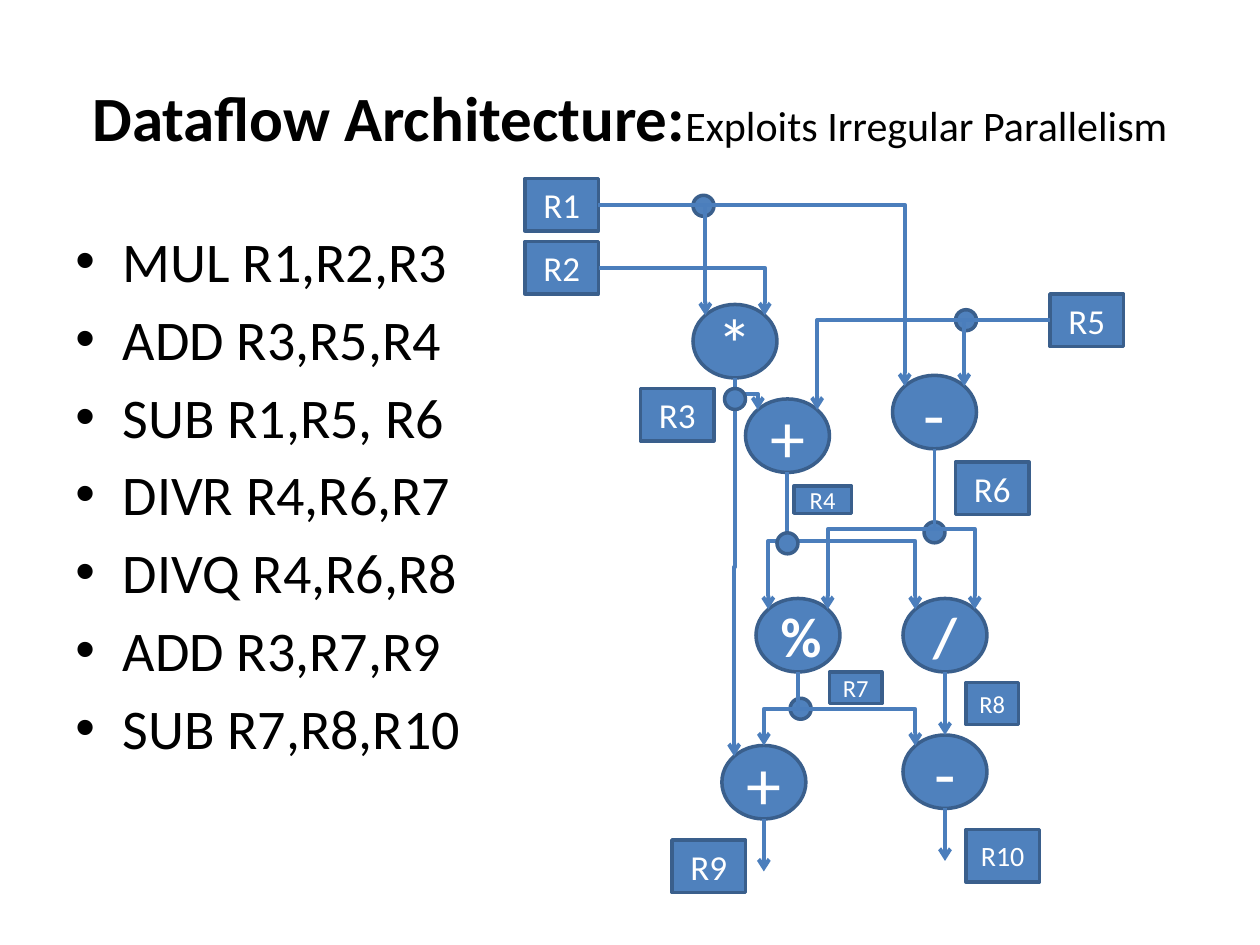
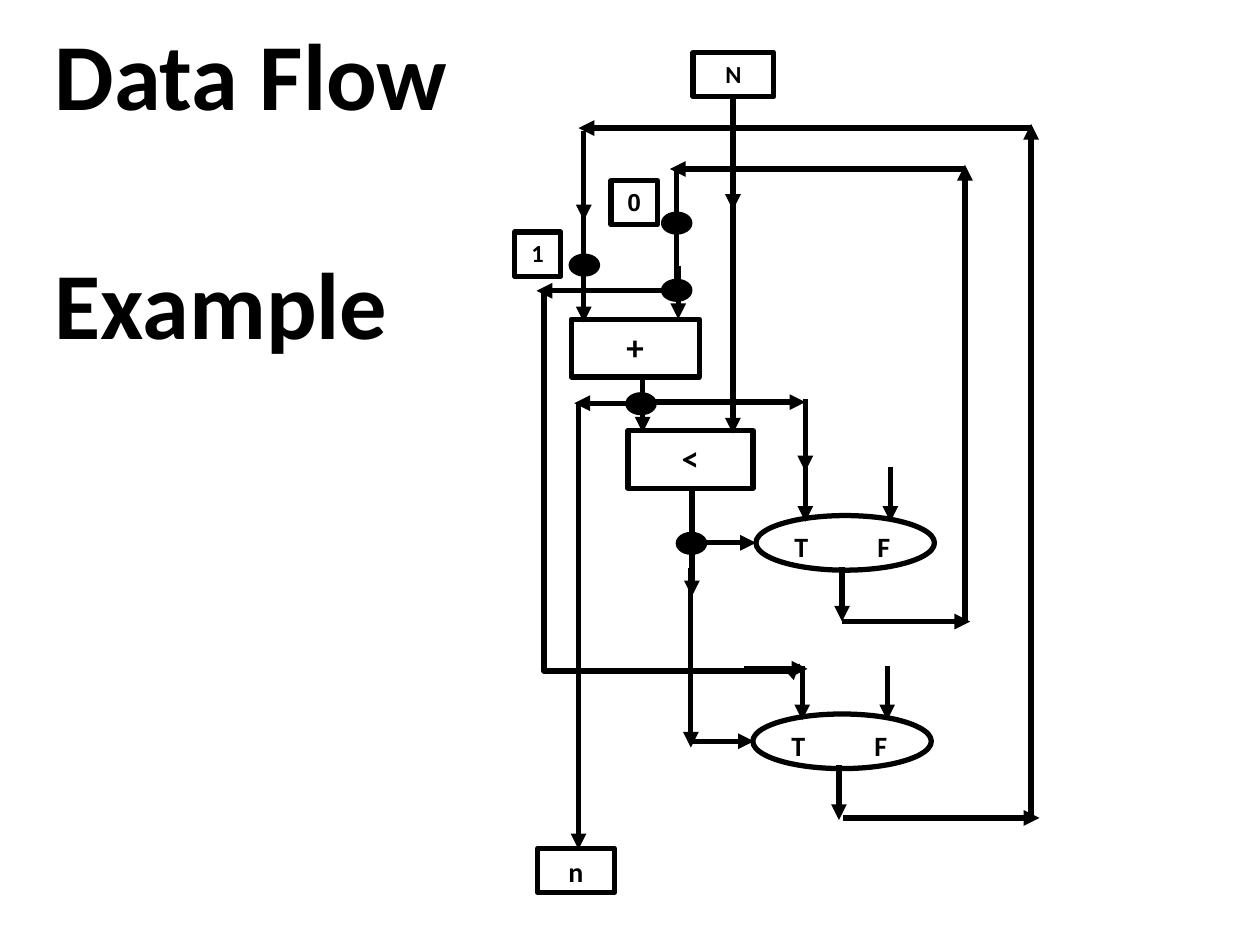
from dataclasses import dataclass

from lxml import etree
from pptx import Presentation
from pptx.dml.color import RGBColor
from pptx.enum.shapes import MSO_CONNECTOR, MSO_SHAPE
from pptx.enum.text import MSO_ANCHOR, MSO_AUTO_SIZE, PP_ALIGN
from pptx.oxml.ns import qn
from pptx.util import Inches, Pt

OVAL, RECT, PROCESS = MSO_SHAPE.OVAL, MSO_SHAPE.RECTANGLE, MSO_SHAPE.FLOWCHART_PROCESS
STRAIGHT, ELBOW = MSO_CONNECTOR.STRAIGHT, MSO_CONNECTOR.ELBOW
LEFT, CENTER = PP_ALIGN.LEFT, PP_ALIGN.CENTER
TOP, MIDDLE = MSO_ANCHOR.TOP, MSO_ANCHOR.MIDDLE


@dataclass(frozen=True)
class Style:
    fill: RGBColor
    outline: RGBColor
    outline_width: float
    text: RGBColor
    anchor: int
    wire: RGBColor
    wire_width: float
    head: str


@dataclass(frozen=True)
class Theme:
    font = "Calibri"
    black = RGBColor(0, 0, 0)
    white = RGBColor(255, 255, 255)
    blue = RGBColor(0x4F, 0x81, 0xBD)
    blue_edge = RGBColor(0x3A, 0x5F, 0x8C)
    blue_wire = RGBColor(0x4B, 0x7E, 0xBC)
    heading, big_heading, subheading = 36, 54, 24
    body, symbol, register, small, tiny = 32, 40, 20, 16, 14


theme = Theme()
BLUE = Style(theme.blue, theme.blue_edge, 2, theme.white, MIDDLE, theme.blue_wire, 2.25, "arrow")
INK = Style(theme.white, theme.black, 3, theme.black, TOP, theme.black, 3, "triangle")
DOT = Style(theme.black, theme.black, 3, theme.black, TOP, theme.black, 3, "triangle")

prs = Presentation()
prs.slide_width, prs.slide_height = Inches(10), Inches(7.5)
COLUMN, ROW = prs.slide_width / 120, prs.slide_height / 90


def add_node(slide, kind, box, style, label="", size=0, bold=False, font=theme.font, tab=0):
    x, y, w, h = box
    node = slide.shapes.add_shape(kind, int(x * COLUMN), int(y * ROW), int(w * COLUMN), int(h * ROW))
    node.shadow.inherit = False
    node.fill.solid()
    node.fill.fore_color.rgb = style.fill
    node.line.color.rgb = style.outline
    node.line.width = Pt(style.outline_width)
    if label:
        frame = node.text_frame
        frame.word_wrap = True
        frame.vertical_anchor = style.anchor
        paragraph = frame.paragraphs[0]
        paragraph.alignment = LEFT if tab else CENTER
        if tab:
            stops = etree.SubElement(paragraph._p.get_or_add_pPr(), qn("a:tabLst"))
            etree.SubElement(stops, qn("a:tab"), pos=str(int(tab * COLUMN)), algn="l")
        run = paragraph.add_run()
        run.text = label
        run.font.name, run.font.size, run.font.bold = font, Pt(size), bold
        run.font.color.rgb = style.text


def add_wire(slide, start, end, style, bend="", share=0.5):
    (x1, y1), (x2, y2) = start, end
    drop, shift = y2 - y1, x2 - x1
    turned = bend == "step" and shift != 0
    if turned:
        mid_x, mid_y = (x1 + x2) / 2, (y1 + y2) / 2
        x1, x2 = mid_x - drop / 2, mid_x + drop / 2
        y1, y2 = mid_y - abs(shift) / 2, mid_y + abs(shift) / 2
    wire = slide.shapes.add_connector(
        ELBOW if turned or bend == "corner" else STRAIGHT,
        int(x1 * COLUMN), int(y1 * ROW), int(x2 * COLUMN), int(y2 * ROW))
    wire.line.color.rgb = style.wire
    wire.line.width = Pt(style.wire_width)
    properties = wire.element.spPr
    geometry = properties.find(qn("a:prstGeom"))
    if bend == "corner":
        geometry.set("prst", "bentConnector2")
    if turned:
        frame = properties.find(qn("a:xfrm"))
        frame.set("rot", str((270 if shift > 0 else 90) * 60000))
        if shift > 0:
            frame.set("flipH", "1")
        guides = geometry.find(qn("a:avLst"))
        etree.SubElement(guides, qn("a:gd"), name="adj1", fmla=f"val {int(share * 100000)}")
    etree.SubElement(properties.find(qn("a:ln")), qn("a:tailEnd"), type=style.head)
    etree.SubElement(properties, qn("a:effectLst"))


slides = []
for box, align, lines in [
    ((6, 3.6, 108, 15), CENTER, [[("Dataflow Architecture:", theme.heading, True),
                                 ("Exploits Irregular Parallelism", theme.subheading, False)]]),
    ((4, 3.6, 40, 28.4), LEFT, [[("Data Flow", theme.big_heading, True)],
                              [("Example", theme.big_heading, True)]]),
]:
    slide = prs.slides.add_slide(prs.slide_layouts[5])
    title = slide.shapes.title
    x, y, w, h = box
    title.left, title.top = int(x * COLUMN), int(y * ROW)
    title.width, title.height = int(w * COLUMN), int(h * ROW)
    heading = title.text_frame
    heading.auto_size = MSO_AUTO_SIZE.NONE
    heading.word_wrap = True
    heading.vertical_anchor = MIDDLE
    for number, runs in enumerate(lines):
        paragraph = heading.add_paragraph() if number else heading.paragraphs[0]
        paragraph.alignment = align
        paragraph.space_before = Pt(66 * number)
        for text, size, bold in runs:
            run = paragraph.add_run()
            run.text = text
            run.font.name, run.font.size, run.font.bold = theme.font, Pt(size), bold
            run.font.color.rgb = theme.black
    slides.append(slide)
architecture, example = slides

program = ["MUL R1,R2,R3", "ADD R3,R5,R4", "SUB R1,R5, R6", "DIVR R4,R6,R7",
           "DIVQ R4,R6,R8", "ADD R3,R7,R9", "SUB R7,R8,R10"]
listing = architecture.shapes.add_textbox(
    int(6 * COLUMN), int(21 * ROW), int(44 * COLUMN), int(59.4 * ROW)).text_frame
listing.word_wrap = True
for number, instruction in enumerate(program):
    paragraph = listing.add_paragraph() if number else listing.paragraphs[0]
    paragraph.space_before = Pt(6 if number else 0)
    layout = paragraph._p.get_or_add_pPr()
    layout.set("marL", str(int(4.5 * COLUMN)))
    layout.set("indent", str(int(-4.5 * COLUMN)))
    etree.SubElement(layout, qn("a:buFont"), typeface="Arial")
    etree.SubElement(layout, qn("a:buChar"), char="•")
    run = paragraph.add_run()
    run.text = instruction
    run.font.name, run.font.size = theme.font, Pt(theme.body)
    run.font.color.rgb = theme.black

operators = {
    "mul": (66, 29, "*"), "sub": (85, 35.75, "-"), "add": (71, 38, "+"),
    "rem": (72, 57, "%"), "div": (86, 57, "/"),
    "add_last": (68.75, 71, "+"), "sub_last": (86, 70, "-"),
}
for x, y, symbol in operators.values():
    strong = symbol in "%/"
    add_node(architecture, OVAL, (x, y, 8, 7), BLUE, symbol,
             theme.body if strong else theme.symbol, strong)

for x, y in [(91, 29.5), (88, 49.7), (66, 18.6), (75.25, 66.5)]:
    add_node(architecture, OVAL, (x, y, 2, 2), BLUE)

for register, x, y, w, h, size in [
    ("R1", 50, 17, 7, 5, theme.register), ("R2", 50, 23, 7, 5, theme.register),
    ("R3", 61, 37, 7, 5, theme.register), ("R4", 75.6, 46.3, 5.5, 2.6, theme.tiny),
    ("R5", 100, 28, 7, 5, theme.register), ("R6", 91, 44, 7, 5, theme.register),
    ("R7", 79, 64, 5, 3, theme.tiny), ("R8", 92, 65, 5, 4, theme.tiny),
    ("R9", 64, 80, 7, 5, theme.register), ("R10", 92, 79, 7, 5, theme.small),
]:
    add_node(architecture, RECT, (x, y, w, h), BLUE, register, size)

ports = {"left": (1.17, 1.03), "top": (4, 0), "right": (6.83, 1.03)}
register_exits = {"R1": (57, 19.5), "R2": (57, 25.5), "R5": (100, 30.5)}
for source, target, port in [
    ("R1", "mul", "left"), ("R1", "sub", "left"), ("R2", "mul", "right"),
    ("R5", "sub", "right"), ("R5", "add", "right"),
    ("mul", "add", "left"), ("mul", "add_last", "left"),
    ("add", "rem", "left"), ("add", "div", "left"),
    ("sub", "rem", "right"), ("sub", "div", "right"),
    ("rem", "add_last", "top"), ("rem", "sub_last", "left"), ("div", "sub_last", "top"),
]:
    x, y, _ = operators[target]
    entry = x + ports[port][0], y + ports[port][1]
    if source in register_exits:
        add_wire(architecture, register_exits[source], entry, BLUE, "corner")
    else:
        x, y, _ = operators[source]
        add_wire(architecture, (x + 4, y + 7), entry, BLUE, "step")

for result in ("add_last", "sub_last"):
    x, y, _ = operators[result]
    add_wire(architecture, (x + 4, y + 7), (x + 4, y + 12), BLUE)

for x, y in [(74, 50.75), (69, 37)]:
    add_node(architecture, OVAL, (x, y, 2, 2), BLUE)

for label, x, y, w, h, size, font in [
    ("N", 66, 5, 7.7, 4.2, theme.tiny, theme.font),
    ("0", 58.2, 17.2, 4.4, 4.2, theme.tiny, "Arial"),
    ("1", 49, 22.1, 4.4, 4.2, theme.tiny, theme.font),
    ("+", 54.4, 30.4, 12.2, 5.5, theme.register, theme.font),
    ("<", 59.8, 41, 11.9, 5.5, theme.register, theme.font),
    ("n", 51.2, 80.8, 7.3, 4.2, theme.small, theme.font),
]:
    add_node(example, PROCESS, (x, y, w, h), INK, label, size, True, font)

for x, y in [(72, 49.1), (71.7, 68)]:
    add_node(example, OVAL, (x, y, 17, 5.2), INK, "T\tF", theme.small, True, tab=7.9)
    for offset in (4.7, 12.8):
        add_wire(example, (x + offset, y - 4.6), (x + offset, y + 0.6), INK)
    add_wire(example, (x + 8.2, y + 4.9), (x + 8.2, y + 10.1), INK)

for x, y in [(63.2, 20.4), (54.4, 24.4), (63.2, 26.8), (59.8, 37.6), (64.6, 50.9)]:
    add_node(example, OVAL, (x, y, 2.5, 1.7), DOT)

for x, start, end in [
    (69.8, 9.1, 20), (69.8, 14, 41.3),
    (55.6, 12.5, 21), (55.6, 20.4, 30.7),
    (64.4, 16.2, 28.8), (64.6, 25.3, 30.4),
    (61.2, 36, 41.2), (55.1, 38.3, 80.9), (76.7, 38, 44.9),
    (65.9, 46.6, 56.8), (65.8, 54.1, 71.2),
    (91.9, 59.2, 15.7), (98.2, 78, 11.8),
]:
    add_wire(example, (x, start), (x, end), INK)

for y, start, end in [
    (12.2, 98.2, 55.1), (16.1, 91.9, 63.8), (27.7, 63.4, 51.1),
    (38.4, 62, 54.7), (38.3, 62, 76.7), (51.7, 65.9, 72),
    (59.2, 80.2, 92.4), (63.7, 70.9, 76.9), (70.6, 65.6, 71.8), (77.9, 80.3, 99),
]:
    add_wire(example, (start, y), (end, y), INK)

add_wire(example, (51.8, 27.5), (76.2, 63.2), INK, "step", 1.02)

prs.save("out.pptx")
